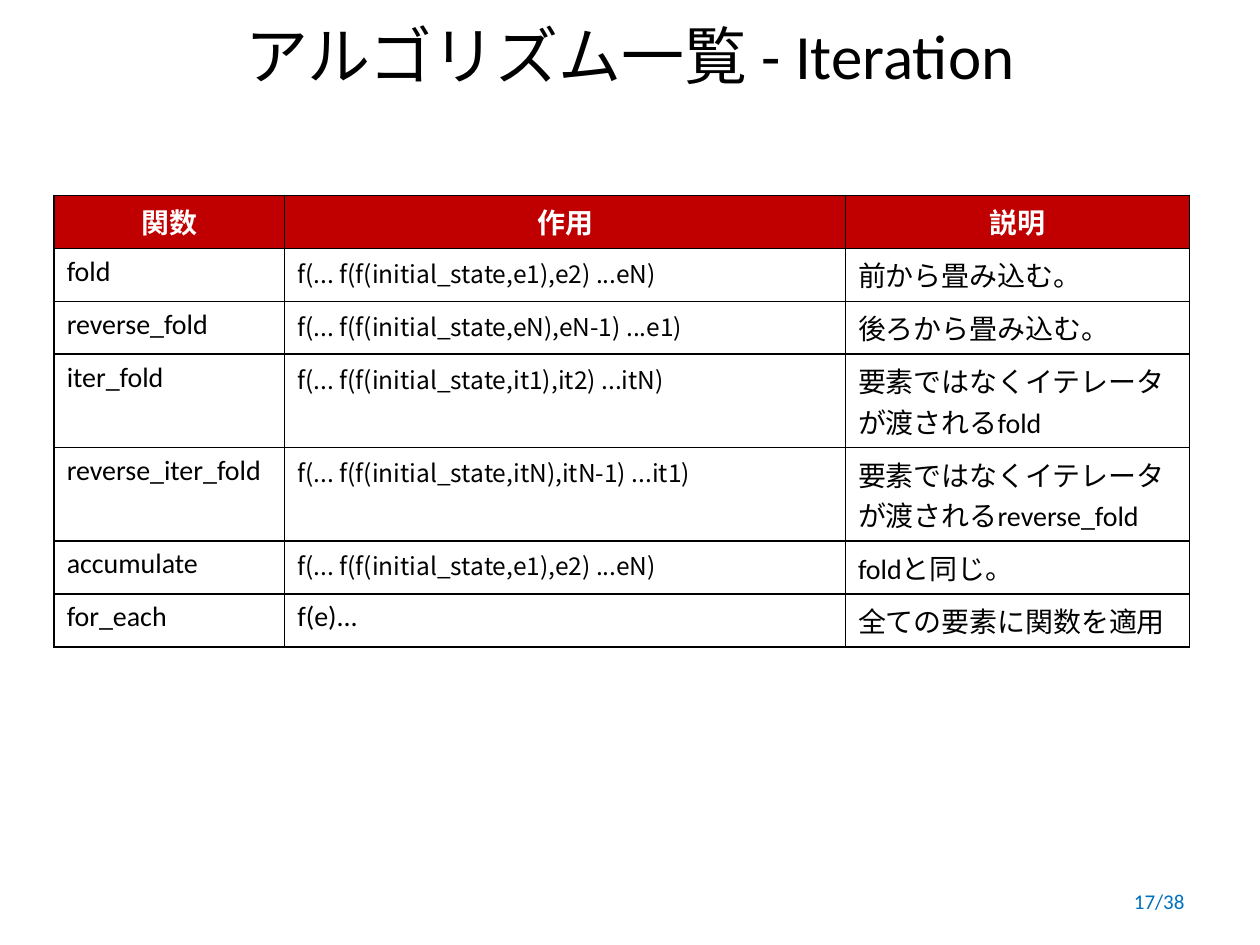
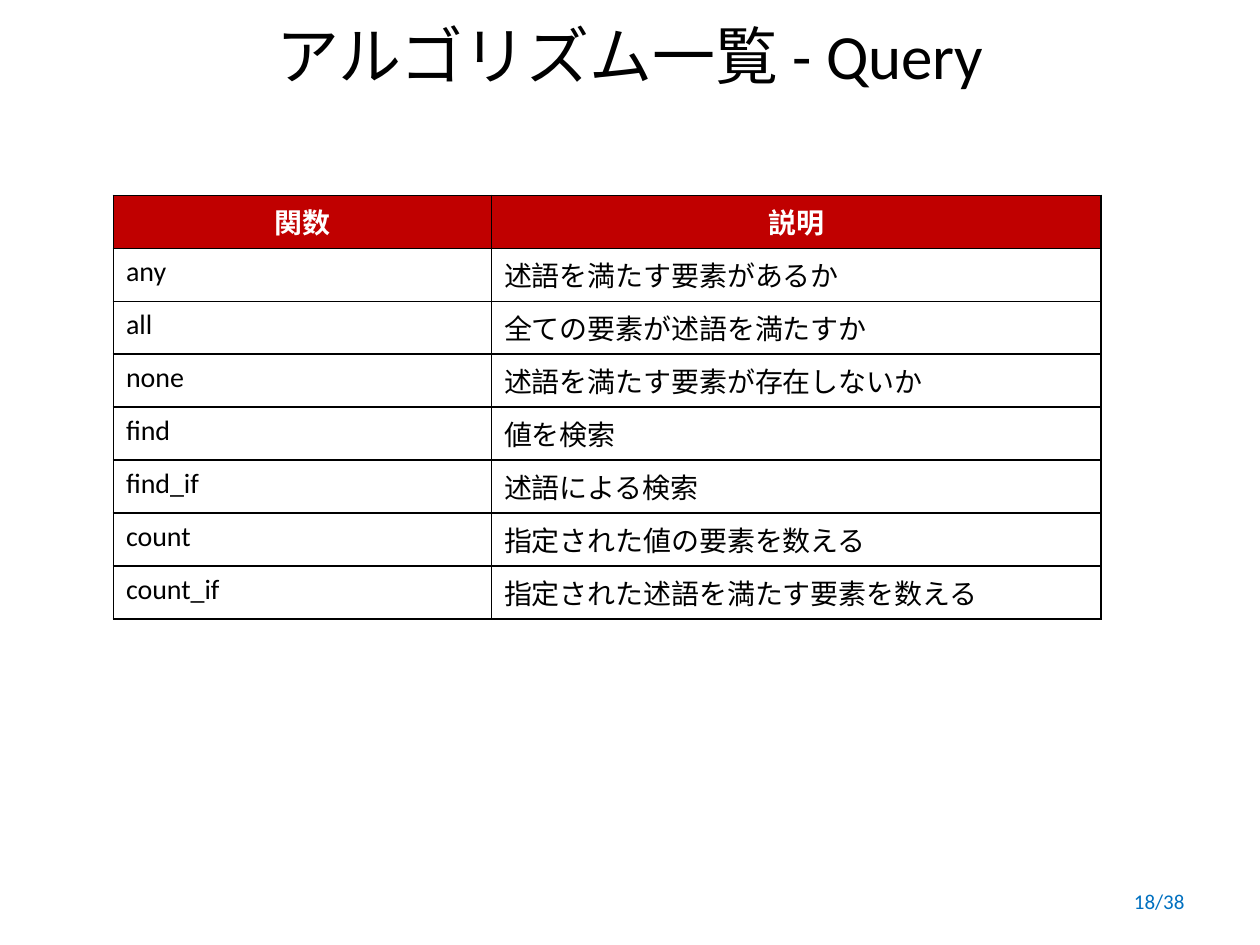
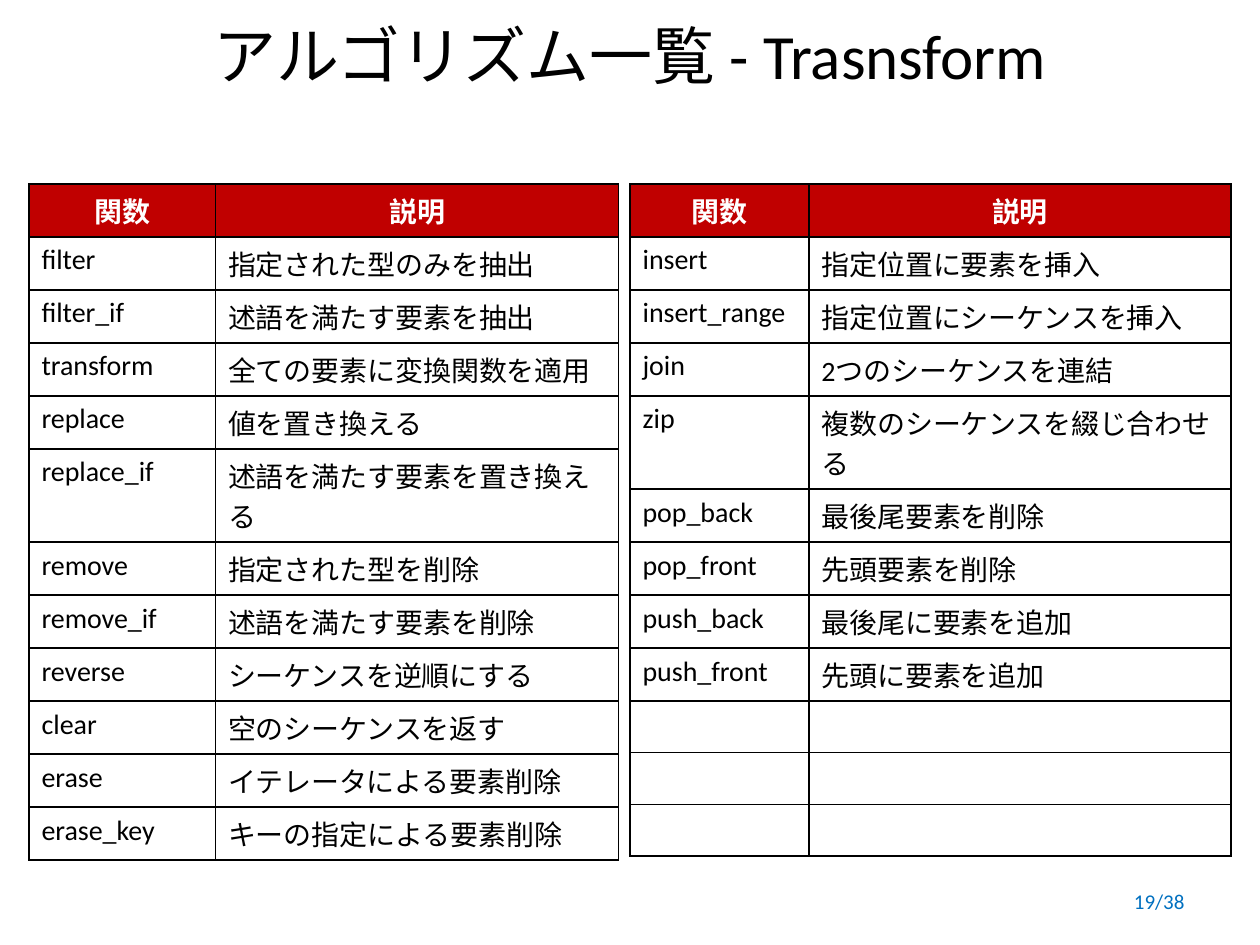
"""Build three slides that list algorithms by category in tables."""
from dataclasses import dataclass, field
from typing import Any

import lxml.etree
import pptx
import pptx.dml.color
import pptx.enum.text
import pptx.oxml.ns
import pptx.slide
import pptx.table
import pptx.text.text
import pptx.util

Inches = pptx.util.Inches
Pt = pptx.util.Pt
Align = pptx.enum.text.PP_ALIGN
Anchor = pptx.enum.text.MSO_ANCHOR


@dataclass(frozen=True)
class Theme:
    """Colours, fonts and sizes shared by every slide."""
    black: str = "000000"
    white: str = "FFFFFF"
    header: str = "C00000"
    page: str = "0070C0"
    font: str = "Calibri"
    japanese_font: str = "Noto Sans CJK JP"
    title_size: int = 36
    body_size: int = 16
    code_size: int = 14
    page_size: int = 12
    border_width: float = 1
    row_height: float = 0.41


THEME = Theme()


@dataclass(frozen=True)
class TextStyle:
    """Look of one paragraph."""
    size: int
    color: str
    align: Any = Align.LEFT
    bold: bool = False
    font: str = THEME.font


TITLE = TextStyle(THEME.title_size, THEME.black, Align.CENTER)
HEADER = TextStyle(THEME.body_size, THEME.white, Align.CENTER, True)
BODY = TextStyle(THEME.body_size, THEME.black)
CODE = TextStyle(THEME.code_size, THEME.black, font=THEME.japanese_font)
PAGE = TextStyle(THEME.page_size, THEME.page, Align.RIGHT)


@dataclass(frozen=True)
class FunctionTable:
    """Place, column widths and rows of one function list."""
    left: float
    top: float
    widths: tuple[float, ...]
    headings: tuple[str, ...]
    rows: tuple[tuple[str, ...], ...]
    blank_rows: int = 0


@dataclass(frozen=True)
class Category:
    """One slide: the category name, page number and its tables."""
    name: str
    page: int
    tables: tuple[FunctionTable, ...] = field(default_factory=tuple)


PAGE_TOTAL = 38
HEADINGS = ("関数", "説明")

CATEGORIES = (
    Category("Iteration", 17, (
        FunctionTable(0.43, 1.55, (1.83, 4.45, 2.73), ("関数", "作用", "説明"), (
            ("fold", "f(... f(f(initial_state,e1),e2) ...eN)", "前から畳み込む。"),
            ("reverse_fold", "f(... f(f(initial_state,eN),eN-1) ...e1)", "後ろから畳み込む。"),
            ("iter_fold", "f(... f(f(initial_state,it1),it2) ...itN)",
             "要素ではなくイテレータが渡されるfold"),
            ("reverse_iter_fold", "f(... f(f(initial_state,itN),itN-1) ...it1)",
             "要素ではなくイテレータが渡されるreverse_fold"),
            ("accumulate", "f(... f(f(initial_state,e1),e2) ...eN)", "foldと同じ。"),
            ("for_each", "f(e)...", "全ての要素に関数を適用"),
        )),
    )),
    Category("Query", 18, (
        FunctionTable(0.9, 1.55, (3, 4.84), HEADINGS, (
            ("any", "述語を満たす要素があるか"),
            ("all", "全ての要素が述語を満たすか"),
            ("none", "述語を満たす要素が存在しないか"),
            ("find", "値を検索"),
            ("find_if", "述語による検索"),
            ("count", "指定された値の要素を数える"),
            ("count_if", "指定された述語を満たす要素を数える"),
        )),
    )),
    Category("Trasnsform", 19, (
        FunctionTable(0.23, 1.46, (1.48, 3.2), HEADINGS, (
            ("filter", "指定された型のみを抽出"),
            ("filter_if", "述語を満たす要素を抽出"),
            ("transform", "全ての要素に変換関数を適用"),
            ("replace", "値を置き換える"),
            ("replace_if", "述語を満たす要素を置き換える"),
            ("remove", "指定された型を削除"),
            ("remove_if", "述語を満たす要素を削除"),
            ("reverse", "シーケンスを逆順にする"),
            ("clear", "空のシーケンスを返す"),
            ("erase", "イテレータによる要素削除"),
            ("erase_key", "キーの指定による要素削除"),
        )),
        FunctionTable(5, 1.46, (1.42, 3.35), HEADINGS, (
            ("insert", "指定位置に要素を挿入"),
            ("insert_range", "指定位置にシーケンスを挿入"),
            ("join", "2つのシーケンスを連結"),
            ("zip", "複数のシーケンスを綴じ合わせる"),
            ("pop_back", "最後尾要素を削除"),
            ("pop_front", "先頭要素を削除"),
            ("push_back", "最後尾に要素を追加"),
            ("push_front", "先頭に要素を追加"),
        ), blank_rows=3),
    )),
)


def apply_format(target: Any, values: dict[str, Any]) -> None:
    """Set each named attribute on the target."""
    for name, value in values.items():
        setattr(target, name, value)


def add_child(parent: Any, tag: str, **attributes: str) -> Any:
    """Append a drawing element to its parent."""
    return lxml.etree.SubElement(parent, pptx.oxml.ns.qn(tag), attributes)


def write_text(frame: pptx.text.text.TextFrame, text: str, style: TextStyle) -> None:
    """Write one styled paragraph into a text frame."""
    paragraph = frame.paragraphs[0]
    paragraph.alignment = style.align
    run = paragraph.add_run()
    run.text = text
    apply_format(run.font, {"size": Pt(style.size), "bold": style.bold, "name": style.font})
    run.font.color.rgb = pptx.dml.color.RGBColor.from_string(style.color)
    add_child(run.font._element, "a:ea", typeface=THEME.japanese_font)


def style_cell(cell: pptx.table._Cell, fill: str) -> None:
    """Give a cell its four borders and its fill."""
    properties = cell._tc.get_or_add_tcPr()
    for side in ("a:lnL", "a:lnR", "a:lnT", "a:lnB"):
        border = add_child(properties, side, w=str(Pt(THEME.border_width)))
        add_child(add_child(border, "a:solidFill"), "a:srgbClr", val=THEME.black)
    cell.fill.solid()
    cell.fill.fore_color.rgb = pptx.dml.color.RGBColor.from_string(fill)


def add_function_table(slide: pptx.slide.Slide, listing: FunctionTable) -> None:
    """Draw one function list as a table."""
    blanks = (("",) * len(listing.headings),) * listing.blank_rows
    rows = (listing.headings, *listing.rows, *blanks)
    table = slide.shapes.add_table(
        len(rows), len(listing.widths), Inches(listing.left), Inches(listing.top),
        Inches(sum(listing.widths)), Inches(THEME.row_height * len(rows))).table
    apply_format(table, {"first_row": False, "horz_banding": False})
    for column, width in zip(table.columns, listing.widths):
        column.width = Inches(width)
    for row_index, row in enumerate(rows):
        table.rows[row_index].height = Inches(THEME.row_height)
        for column_index, text in enumerate(row):
            cell = table.cell(row_index, column_index)
            style_cell(cell, THEME.white if row_index else THEME.header)
            if text:
                body = CODE if "initial_state" in text else BODY
                write_text(cell.text_frame, text, body if row_index else HEADER)


def add_title(slide: pptx.slide.Slide, name: str) -> None:
    """Place and fill the slide title."""
    title = slide.shapes.title
    apply_format(title, {"left": Inches(0.5), "top": Inches(0.08),
                         "width": Inches(9), "height": Inches(0.7)})
    apply_format(title.text_frame, {"vertical_anchor": Anchor.MIDDLE, "word_wrap": True,
                                    "auto_size": pptx.enum.text.MSO_AUTO_SIZE.NONE})
    write_text(title.text_frame, f"アルゴリズム一覧 - {name}", TITLE)


def add_page_number(slide: pptx.slide.Slide, page: int) -> None:
    """Write the page count at the lower right."""
    footer = slide.shapes.add_textbox(Inches(7.17), Inches(6.95), Inches(2.33), Inches(0.4))
    apply_format(footer.text_frame, {"vertical_anchor": Anchor.MIDDLE, "word_wrap": True})
    write_text(footer.text_frame, f"{page}/{PAGE_TOTAL}", PAGE)


def main() -> None:
    """Build and save the presentation."""
    deck = pptx.Presentation()
    apply_format(deck, {"slide_width": Inches(10), "slide_height": Inches(7.5)})
    title_only = deck.slide_layouts.get_by_name("Title Only")
    for category in CATEGORIES:
        slide = deck.slides.add_slide(title_only)
        add_title(slide, category.name)
        for listing in category.tables:
            add_function_table(slide, listing)
        add_page_number(slide, category.page)
    deck.save("out.pptx")


if __name__ == "__main__":
    main()
